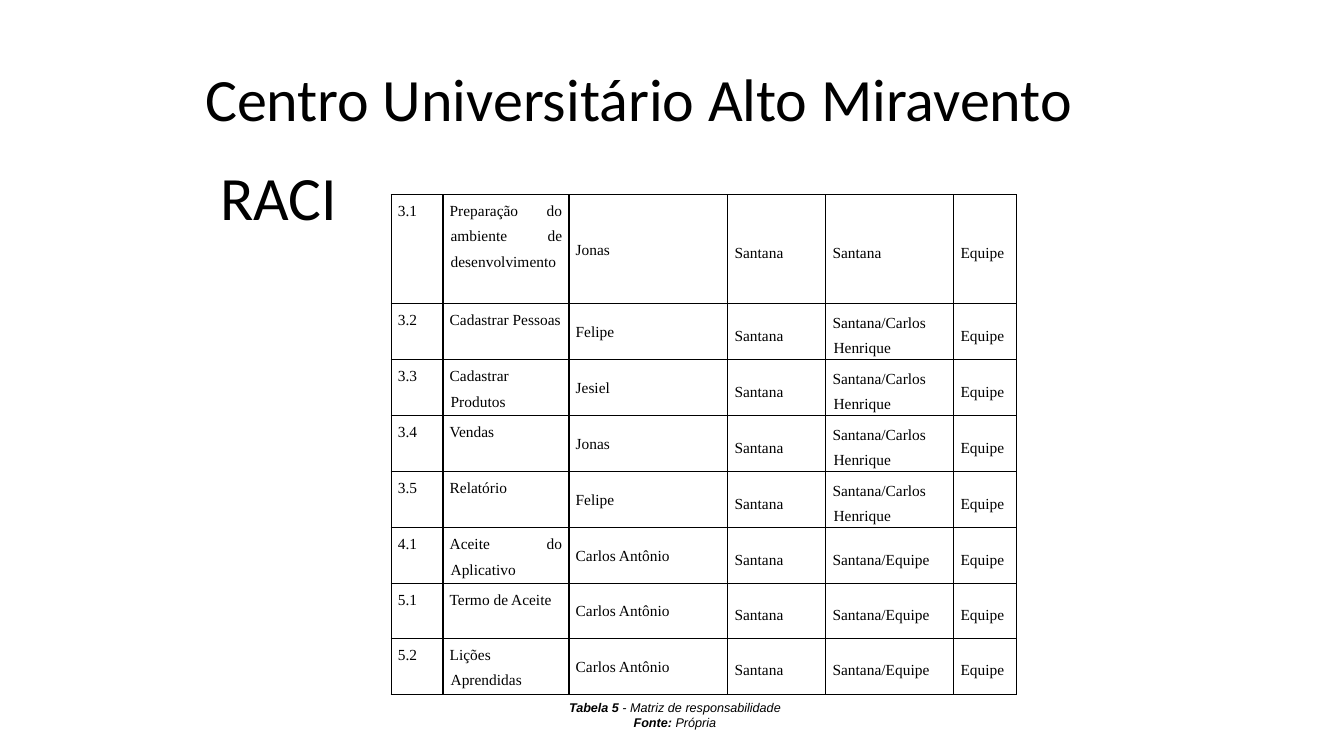
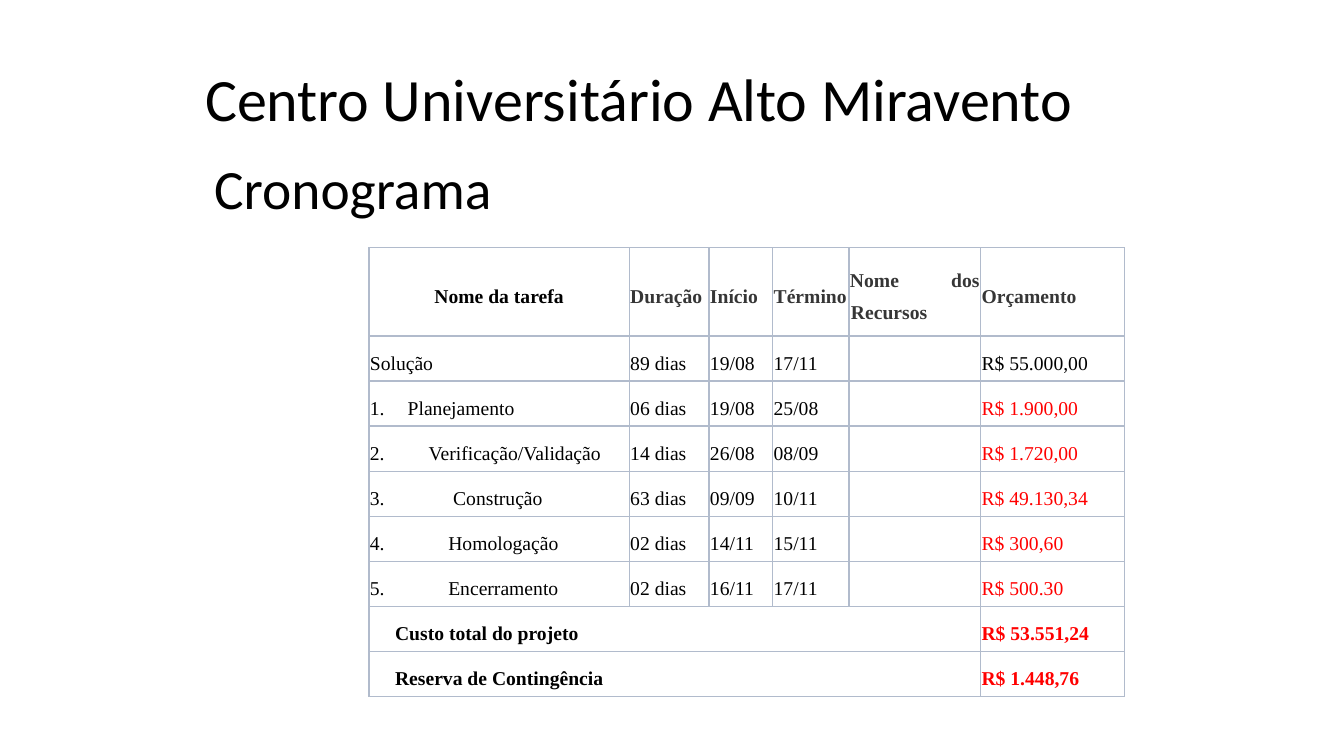
from dataclasses import dataclass

from lxml import etree
from pptx import Presentation
from pptx.dml.color import RGBColor
from pptx.enum.text import MSO_ANCHOR, MSO_AUTO_SIZE, PP_ALIGN
from pptx.oxml.ns import qn
from pptx.util import Pt

TOP, MIDDLE = MSO_ANCHOR.TOP, MSO_ANCHOR.MIDDLE
LEFT, CENTER, JUSTIFY = PP_ALIGN.LEFT, PP_ALIGN.CENTER, PP_ALIGN.JUSTIFY
FIT_NONE, FIT_SHAPE = MSO_AUTO_SIZE.NONE, MSO_AUTO_SIZE.SHAPE_TO_FIT_TEXT
TITLE_ONLY = 5


@dataclass(frozen=True)
class Theme:
    black: str = "000000"
    white: str = "FFFFFF"
    red: str = "FF0000"
    header_gray: str = "363636"
    grid_gray: str = "B1BBCC"
    heading_font: str = "Calibri"
    table_font: str = "Times New Roman"
    caption_font: str = "Arial"
    institution_size: float = 42.9
    raci_title_size: float = 44
    schedule_title_size: float = 39.6
    raci_size: float = 11
    schedule_size: float = 14
    caption_size: float = 9


THEME = Theme()


@dataclass(frozen=True)
class Box:
    left: float
    top: float
    width: float
    height: float

    def lengths(self) -> tuple:
        return Pt(self.left), Pt(self.top), Pt(self.width), Pt(self.height)


@dataclass(frozen=True)
class Cell:
    text: str
    color: str = THEME.black
    bold: bool = False
    align: PP_ALIGN = JUSTIFY
    anchor: MSO_ANCHOR = MIDDLE
    line_spacing: float = 1.48
    margin: float = 0.7
    indent: float = -0.7
    number: int = 0
    span: int = 1


@dataclass(frozen=True)
class Grid:
    left: float
    top: float
    widths: list[float]
    heights: list[float]
    border: str
    size: float
    inset_x: float
    inset_y: float


@dataclass(frozen=True)
class Task:
    name: str
    duration: str
    start: str
    end: str
    budget: str
    number_gap: float


INSTITUTION_BOX = Box(129.6, 28.8, 830.4, 87.8)
RACI_TITLE_BOX = Box(139, 91.4, 120.2, 104.4)
SCHEDULE_TITLE_BOX = Box(137.5, 106.6, 229, 104.4)
CAPTION_BOX = Box(398.2, 496.1, 167.8, 28.8)

RACI_GRID = Grid(279.4, 139, [37, 90, 113.5, 70, 91.5, 45],
                 [78] + [40] * 5 + [39, 40], THEME.black, THEME.raci_size, 4.8, 0)
SCHEDULE_GRID = Grid(263.5, 177, [186, 57, 45.5, 54.5, 94, 103],
                     [63] + [32.2] * 8, THEME.grid_gray, THEME.schedule_size, 0.7, 0.7)

ACCOUNTABLE, INFORMED = "Santana", "Equipe"
RACI_ROWS = [
    ("3.1", "Preparação do ambiente de desenvolvimento", "Jonas", "Santana"),
    ("3.2", "Cadastrar Pessoas", "Felipe", "Santana/Carlos Henrique"),
    ("3.3", "Cadastrar Produtos", "Jesiel", "Santana/Carlos Henrique"),
    ("3.4", "Vendas", "Jonas", "Santana/Carlos Henrique"),
    ("3.5", "Relatório", "Felipe", "Santana/Carlos Henrique"),
    ("4.1", "Aceite do Aplicativo", "Carlos Antônio", "Santana/Equipe"),
    ("5.1", "Termo de Aceite", "Carlos Antônio", "Santana/Equipe"),
    ("5.2", "Lições Aprendidas", "Carlos Antônio", "Santana/Equipe"),
]

SCHEDULE_HEADERS = ["Duração", "Início", "Término", "Nome dos Recursos", "Orçamento"]
TASKS = [
    Task("Planejamento", "06 dias", "19/08", "25/08", "R$ 1.900,00", 27),
    Task("Verificação/Validação", "14 dias", "26/08", "08/09", "R$ 1.720,00", 42),
    Task("Construção", "63 dias", "09/09", "10/11", "R$ 49.130,34", 59.5),
    Task("Homologação", "02 dias", "14/11", "15/11", "R$ 300,60", 56),
    Task("Encerramento", "02 dias", "16/11", "17/11", "R$ 500.30", 56),
]
TOTALS = [("Custo total do projeto", "R$ 53.551,24"),
          ("Reserva de Contingência", "R$ 1.448,76")]
CAPTION = [("Tabela 5", " - Matriz de responsabilidade"), ("Fonte:", " Própria")]


def add_run(paragraph, text: str, font: str, size: float, color: str = THEME.black,
            bold: bool = False, italic: bool = False) -> None:
    run = paragraph.add_run()
    run.text = text
    run.font.name = font
    run.font.size = Pt(size)
    run.font.bold = bold
    run.font.italic = italic
    run.font.color.rgb = RGBColor.from_string(color)


def add_titled_slide(presentation, title: str, box: Box, size: float,
                     anchor: MSO_ANCHOR, margin_top: float):
    """Add a slide with its own title and the shared institution heading."""
    slide = presentation.slides.add_slide(presentation.slide_layouts[TITLE_ONLY])
    shape = slide.shapes.title
    shape.left, shape.top, shape.width, shape.height = box.lengths()
    frame = shape.text_frame
    frame.auto_size = FIT_NONE
    frame.vertical_anchor = anchor
    frame.margin_top = Pt(margin_top)
    paragraph = frame.paragraphs[0]
    paragraph.alignment = CENTER
    paragraph.line_spacing = 0.9
    add_run(paragraph, title, THEME.heading_font, size)

    frame = slide.shapes.add_textbox(*INSTITUTION_BOX.lengths()).text_frame
    frame.word_wrap = True
    frame.vertical_anchor = MIDDLE
    frame.margin_left = Pt(16.9)
    paragraph = frame.paragraphs[0]
    paragraph.line_spacing = 0.9
    add_run(paragraph, "Centro Universitário Alto Miravento",
            THEME.heading_font, THEME.institution_size)
    return slide


def set_borders(table_cell, color: str) -> None:
    properties = table_cell._tc.get_or_add_tcPr()
    for side in ("a:lnL", "a:lnR", "a:lnT", "a:lnB"):
        line = etree.SubElement(properties, qn(side), w=str(Pt(1)))
        fill = etree.SubElement(line, qn("a:solidFill"))
        etree.SubElement(fill, qn("a:srgbClr"), val=color)


def set_indent(paragraph, cell: Cell) -> None:
    """Set the hanging indent and, for numbered cells, the automatic number."""
    properties = paragraph._p.get_or_add_pPr()
    properties.set("marL", str(Pt(cell.margin)))
    properties.set("indent", str(Pt(cell.indent)))
    if cell.number:
        etree.SubElement(properties, qn("a:buFont"), typeface=THEME.table_font)
        etree.SubElement(properties, qn("a:buAutoNum"), type="arabicPeriod",
                         startAt=str(cell.number))


def fill_cell(table_cell, cell: Cell, grid: Grid) -> None:
    table_cell.margin_left = table_cell.margin_right = Pt(grid.inset_x)
    table_cell.margin_top = table_cell.margin_bottom = Pt(grid.inset_y)
    table_cell.vertical_anchor = cell.anchor
    if not cell.text:
        return
    paragraph = table_cell.text_frame.paragraphs[0]
    set_indent(paragraph, cell)
    paragraph.alignment = cell.align
    paragraph.line_spacing = cell.line_spacing
    paragraph.space_after = Pt(7.9)
    add_run(paragraph, cell.text, THEME.table_font, grid.size, cell.color, cell.bold)


def add_grid(slide, grid: Grid, rows: list[list[Cell]]) -> None:
    box = Box(grid.left, grid.top, sum(grid.widths), sum(grid.heights))
    table = slide.shapes.add_table(len(grid.heights), len(grid.widths),
                                   *box.lengths()).table
    table.first_row = table.horz_banding = False
    for column, width in zip(table.columns, grid.widths):
        column.width = Pt(width)
    for row, height in zip(table.rows, grid.heights):
        row.height = Pt(height)
    for table_cell in table.iter_cells():
        set_borders(table_cell, grid.border)
        table_cell.fill.solid()
        table_cell.fill.fore_color.rgb = RGBColor.from_string(THEME.white)
    for row_index, row in enumerate(rows):
        column_index = 0
        for cell in row:
            table_cell = table.cell(row_index, column_index)
            if cell.span > 1:
                table_cell.merge(table.cell(row_index, column_index + cell.span - 1))
            fill_cell(table_cell, cell, grid)
            column_index += cell.span


def raci_rows() -> list[list[Cell]]:
    return [[Cell(code, anchor=TOP), Cell(task, anchor=TOP),
             Cell(responsible, line_spacing=1.07), Cell(ACCOUNTABLE),
             Cell(consulted), Cell(INFORMED)]
            for code, task, responsible, consulted in RACI_ROWS]


def schedule_rows() -> list[list[Cell]]:
    header = [Cell("Nome da tarefa", bold=True, align=CENTER)]
    header += [Cell(text, THEME.header_gray, bold=True) for text in SCHEDULE_HEADERS]
    summary = [Cell(text) for text in
               ("Solução", "89 dias", "19/08", "17/11", "", "R$ 55.000,00")]
    tasks = [[Cell(task.name, align=LEFT, margin=task.number_gap,
                   indent=-task.number_gap, number=number),
              Cell(task.duration), Cell(task.start), Cell(task.end), Cell(""),
              Cell(task.budget, THEME.red)]
             for number, task in enumerate(TASKS, start=1)]
    totals = [[Cell(label, bold=True, margin=39.6, indent=-21.6, span=5),
               Cell(amount, THEME.red, bold=True)] for label, amount in TOTALS]
    return [header, summary, *tasks, *totals]


def add_caption(slide) -> None:
    frame = slide.shapes.add_textbox(*CAPTION_BOX.lengths()).text_frame
    frame.word_wrap = False
    frame.auto_size = FIT_SHAPE
    frame.vertical_anchor = MIDDLE
    for index, (label, text) in enumerate(CAPTION):
        paragraph = frame.add_paragraph() if index else frame.paragraphs[0]
        paragraph.alignment = CENTER
        for content, bold in ((label, True), (text, False)):
            add_run(paragraph, content, THEME.caption_font, THEME.caption_size,
                    bold=bold, italic=True)


def main() -> None:
    presentation = Presentation()
    presentation.slide_width, presentation.slide_height = Pt(960), Pt(540)

    raci = add_titled_slide(presentation, "RACI", RACI_TITLE_BOX,
                            THEME.raci_title_size, MIDDLE, 3.6)
    add_grid(raci, RACI_GRID, raci_rows())
    add_caption(raci)

    schedule = add_titled_slide(presentation, "Cronograma", SCHEDULE_TITLE_BOX,
                                THEME.schedule_title_size, TOP, 8.6)
    add_grid(schedule, SCHEDULE_GRID, schedule_rows())

    presentation.save("out.pptx")


if __name__ == "__main__":
    main()
